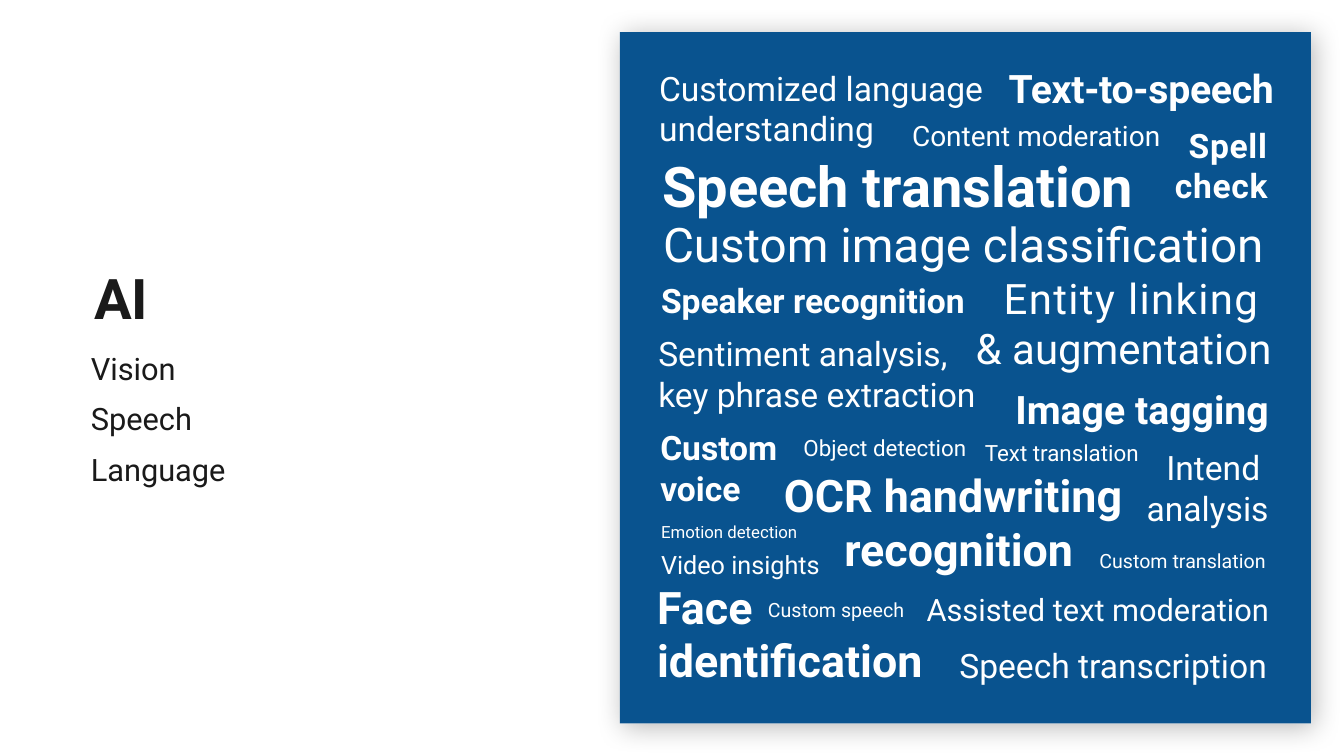
from dataclasses import dataclass
from itertools import cycle

from lxml.etree import SubElement
from pptx import Presentation
from pptx.dml.color import RGBColor
from pptx.enum.shapes import MSO_SHAPE
from pptx.enum.text import MSO_ANCHOR, MSO_AUTO_SIZE, PP_ALIGN
from pptx.oxml.ns import qn
from pptx.util import Cm, Pt

FONT = "Roboto"
WHITE, BLUE, INK, BLACK = "FFFFFF", "09538F", "1A1A1A", "000000"
LEFT, CENTER, RIGHT = PP_ALIGN.LEFT, PP_ALIGN.CENTER, PP_ALIGN.RIGHT


@dataclass
class Phrase:
    """A phrase of the word cloud; lengths in cm, from the panel's corner."""
    text: str
    left: float
    top: float
    width: float
    height: float
    size: int
    align: PP_ALIGN = LEFT
    bold: bool = False
    spacing: tuple = (0,)  # letter spacing in points, line by line


PHRASES = [
    Phrase("Content moderation", 7.14, 2.18, 6.71, 0.86, 20, CENTER),
    Phrase("Object detection", 3.71, 10.13, 5.94, 0.74, 16, CENTER),
    Phrase("OCR handwriting \nrecognition", 3.4, 10.97, 10.29, 2.92, 32, CENTER, True),
    Phrase("Video insights", 0.97, 13.03, 4.14, 0.81, 18, CENTER),
    Phrase("Custom image classification", 1.09, 4.6, 16.38, 1.45, 34),
    Phrase("Emotion detection", 1.04, 12.34, 3.84, 0.56, 12),
    Phrase("Face identification", 0.94, 13.79, 8.2, 2.92, 32, LEFT, True),
    Phrase("Image tagging", 8.86, 8.89, 7.49, 1.27, 28, RIGHT, True),
    Phrase("Custom speech", 3.56, 14.25, 3.61, 0.64, 14, RIGHT),
    Phrase("Custom translation", 11.43, 13.03, 4.85, 0.64, 14, RIGHT),
    Phrase("Custom \nvoice", 1.02, 9.96, 3.63, 2.18, 24, LEFT, True),
    Phrase("Speaker recognition", 1.04, 6.25, 8.53, 1.09, 24, LEFT, True),
    Phrase("Speech transcription", 8.31, 15.44, 8, 1.09, 24, RIGHT),
    Phrase("Speech translation", 1.07, 3.02, 12.93, 1.7, 40, LEFT, True),
    Phrase("Text-to-speech", 8.71, 0.81, 7.77, 1.19, 28, RIGHT, True, (-0.2,)),
    Phrase("Assisted text moderation", 4.42, 14.07, 11.94, 1.02, 22, RIGHT),
    Phrase("Customized language \nunderstanding", 0.99, 0.89, 9.12, 2.06, 24),
    Phrase("Sentiment analysis, \nkey phrase extraction", 0.97, 7.59, 8.69, 2.18, 24),
    Phrase("Spell check", 12.37, 2.34, 3.96, 2.06, 24, RIGHT, True, (0.5,)),
    Phrase("Text translation", 8.36, 10.26, 5.56, 0.74, 16, CENTER),
    Phrase("Intend \nanalysis", 11.07, 10.46, 5.28, 2.18, 24, RIGHT),
    Phrase("Entity linking \n& augmentation", 7.77, 6.05, 8.66, 2.74, 30, RIGHT,
           spacing=(1, 0)),
]


def color(hex_string):
    return RGBColor.from_string(hex_string)


def style_font(font, size, hex_string, bold=False):
    font.name = FONT
    font.size = Pt(size)
    font.bold = bold
    font.color.rgb = color(hex_string)


def write_lines(paragraph, text, spacing=(0,)):
    """Write each line as a run with its own letter spacing."""
    for index, (line, points) in enumerate(zip(text.split("\n"), cycle(spacing))):
        if index:
            paragraph.add_line_break()
        run = paragraph.add_run()
        run.text = line
        if points:
            run.font._element.set("spc", str(round(points * 100)))


def add_text_frame(slide, left, top, width, height, margin_x=0, margin_y=0):
    box = slide.shapes.add_textbox(Cm(left), Cm(top), Cm(width), Cm(height))
    frame = box.text_frame
    frame.word_wrap = True
    frame.margin_left = frame.margin_right = Cm(margin_x)
    frame.margin_top = frame.margin_bottom = Cm(margin_y)
    return frame


def add_square(slide, left, top, side, fill):
    shape = slide.shapes.add_shape(
        MSO_SHAPE.RECTANGLE, Cm(left), Cm(top), Cm(side), Cm(side))
    shape.shadow.inherit = False
    shape.fill.solid()
    shape.fill.fore_color.rgb = color(fill)
    shape.line.fill.background()
    return shape


def add_soft_shadow(shape):
    effects = shape._element.spPr.find(qn("a:effectLst"))
    shadow = SubElement(effects, qn("a:outerShdw"), blurRad=str(Pt(20)),
                        dist=str(Pt(4)), dir="2700000", algn="tl", rotWithShape="0")
    shade = SubElement(shadow, qn("a:srgbClr"), val=BLACK)
    SubElement(shade, qn("a:alpha"), val="28000")


def add_word_cloud(slide, left, top, side):
    # Shadowed card under the blue panel
    add_soft_shadow(add_square(slide, left, top, side, WHITE))
    add_square(slide, left, top, side, BLUE)
    # Phrases
    for phrase in PHRASES:
        frame = add_text_frame(slide, left + phrase.left, top + phrase.top,
                               phrase.width, phrase.height)
        frame.auto_size = MSO_AUTO_SIZE.SHAPE_TO_FIT_TEXT
        paragraph = frame.paragraphs[0]
        paragraph.alignment = phrase.align
        write_lines(paragraph, phrase.text, phrase.spacing)
        style_font(paragraph.font, phrase.size, WHITE, phrase.bold)


def add_heading(slide, left, top, width, height):
    # Title
    frame = add_text_frame(slide, left + 0.1, top, width, 2.24, 0.51, 0.41)
    title = frame.paragraphs[0]
    title.line_spacing = 0.9
    write_lines(title, "AI", (-0.5,))
    style_font(title.font, 40, INK, True)
    # Topics, resting on the bottom of the box
    topics_height = 4.22
    frame = add_text_frame(slide, left, top + height - topics_height,
                           12.78, topics_height, 0.51, 0.41)
    frame.vertical_anchor = MSO_ANCHOR.BOTTOM
    for index, topic in enumerate(["Vision", "Speech", "Language"]):
        paragraph = frame.add_paragraph() if index else frame.paragraphs[0]
        paragraph.text = topic
        paragraph.line_spacing = 0.9
        if index:
            paragraph.space_before = Pt(12)
        style_font(paragraph.font, 22, INK)


def main():
    presentation = Presentation()
    presentation.slide_width = Cm(33.87)
    presentation.slide_height = Cm(19.05)
    slide = presentation.slides.add_slide(presentation.slide_layouts[6])
    add_word_cloud(slide, 15.62, 0.81, 17.42)
    add_heading(slide, 1.78, 6.43, 15.11, 6.27)
    presentation.save("out.pptx")


if __name__ == "__main__":
    main()
